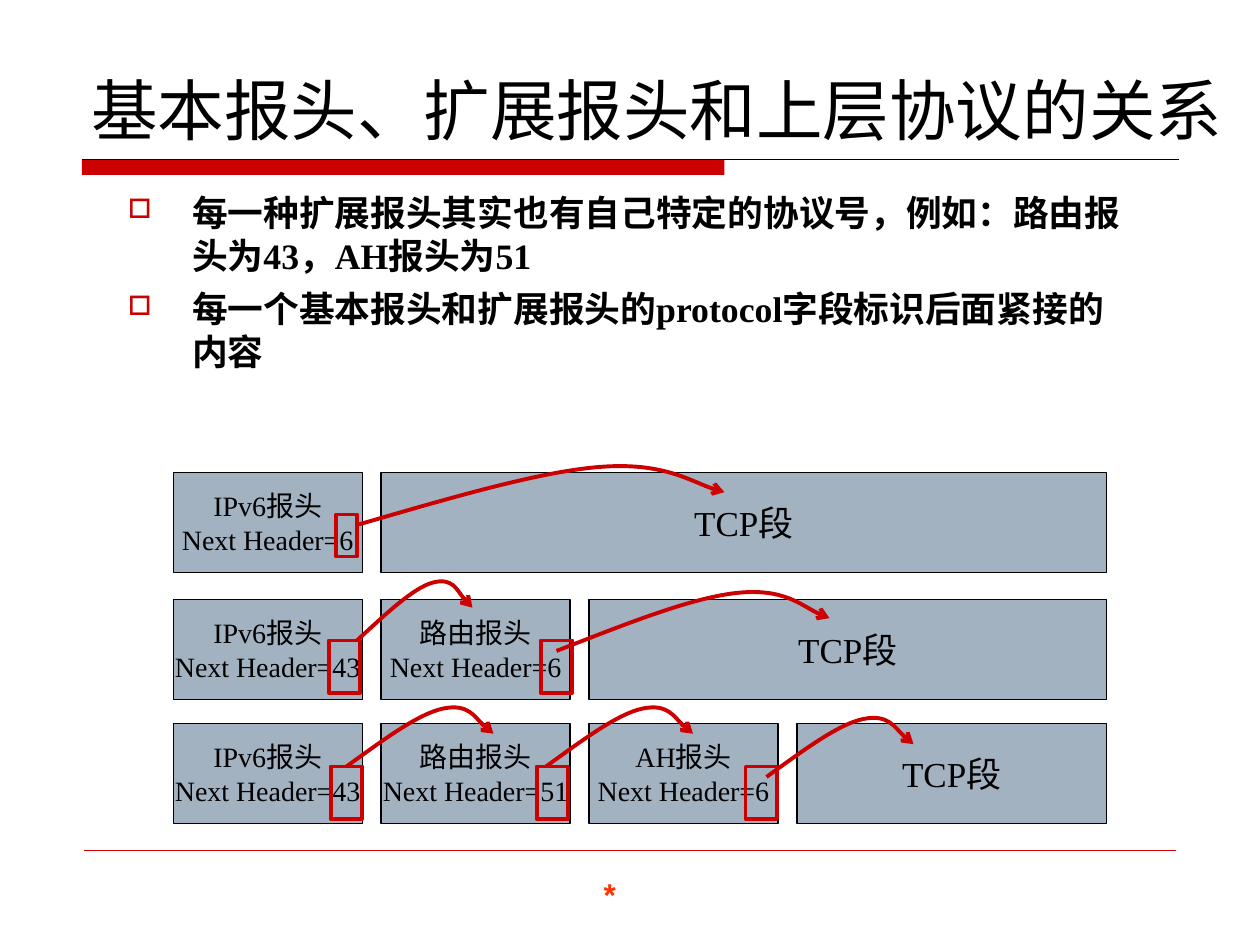
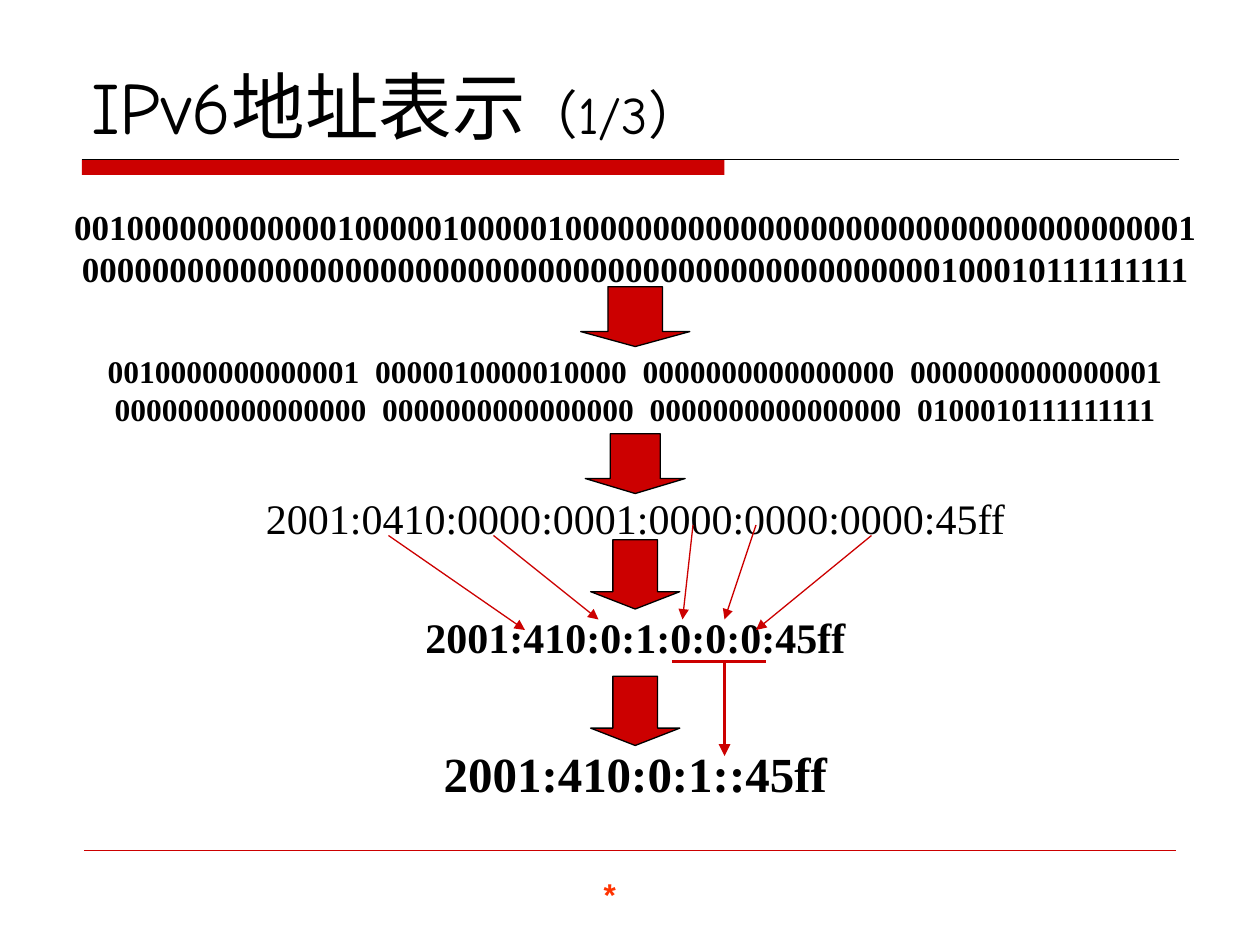
from typing import NamedTuple

import lxml.etree
import pptx
import pptx.dml.color
import pptx.enum.shapes
import pptx.enum.text
import pptx.oxml.ns
import pptx.util

RED = pptx.dml.color.RGBColor(0xCC, 0x00, 0x00)
ORANGE = pptx.dml.color.RGBColor(0xFF, 0x33, 0x00)
BLACK = pptx.dml.color.RGBColor(0x00, 0x00, 0x00)
STEEL = pptx.dml.color.RGBColor(0xA3, 0xB2, 0xC1)
SERIF, TITLE_FONT, FOOTER_FONT = "Times New Roman", "Comic Neue", "Arial"

SHAPES = pptx.enum.shapes.MSO_SHAPE
ALIGN = pptx.enum.text.PP_ALIGN
ANCHOR = pptx.enum.text.MSO_ANCHOR

# The slide is a grid of 120 columns and 90 rows with square cells
SLIDE_WIDTH, SLIDE_HEIGHT = pptx.util.Inches(10), pptx.util.Inches(7.5)
CELL = SLIDE_WIDTH // 120


class Area(NamedTuple):
    column: float
    row: float
    columns: float
    rows: float

    def lengths(self) -> list[int]:
        return [grid(value) for value in self]


class Style(NamedTuple):
    size: float
    font: str = SERIF
    bold: bool = False
    color: pptx.dml.color.RGBColor = BLACK


class Header(NamedTuple):
    name: str
    next_header: int


class Jump(NamedTuple):
    """A framed protocol number and the arc from it to the next part."""
    frame: Area
    column: float
    row: float
    columns: float


class Arrow(NamedTuple):
    from_column: float
    from_row: float
    to_column: float
    to_row: float


class Notation(NamedTuple):
    lines: list[str]
    row: float
    columns: float
    rows: float
    style: Style


def grid(cells: float) -> int:
    return round(cells * CELL)


def add_element(parent, tag: str, **attributes: str):
    return lxml.etree.SubElement(parent, pptx.oxml.ns.qn(tag), **attributes)


def format_paragraph(paragraph, style: Style) -> None:
    for run in paragraph.runs:
        run.font.size = pptx.util.Pt(style.size)
        run.font.name = style.font
        run.font.bold = style.bold
        run.font.color.rgb = style.color


def write(shape, lines: list[str], style: Style, align=ALIGN.CENTER,
          anchor=ANCHOR.MIDDLE, wrap: bool = False) -> None:
    text_frame = shape.text_frame
    text_frame.text = "\n".join(lines)
    text_frame.word_wrap = wrap
    text_frame.vertical_anchor = anchor
    for paragraph in text_frame.paragraphs:
        paragraph.alignment = align
        format_paragraph(paragraph, style)


def add_block(slide, kind, area: Area, fill=None, line=BLACK, width: float = 0.75):
    shape = slide.shapes.add_shape(kind, *area.lengths())
    shape.shadow.inherit = False
    if fill is None:
        shape.fill.background()
    else:
        shape.fill.solid()
        shape.fill.fore_color.rgb = fill
    if line is None:
        shape.line.fill.background()
    else:
        shape.line.color.rgb = line
        shape.line.width = pptx.util.Pt(width)
    return shape


def add_head(shape, kind: str) -> None:
    add_element(shape.line._get_or_add_ln(), "a:tailEnd", type=kind)


def add_line(slide, arrow: Arrow, width: float, color=RED, head: bool = False) -> None:
    connector = slide.shapes.add_connector(
        pptx.enum.shapes.MSO_CONNECTOR.STRAIGHT, *map(grid, arrow))
    connector.line.color.rgb = color
    connector.line.width = pptx.util.Pt(width)
    if head:
        add_head(connector, "triangle")
    add_element(connector._element.spPr, "a:effectLst")


def start_slide(presentation, title_columns: float, title_parts: list[tuple[str, float]]):
    slide = presentation.slides.add_slide(presentation.slide_layouts[6])
    # Band and rule below the title, rule and mark at the foot
    add_block(slide, SHAPES.RECTANGLE, Area(7.8, 15.2, 61.2, 1.45), RED, None)
    add_line(slide, Arrow(7.8, 15.2, 112.3, 15.2), 0.75, BLACK)
    add_line(slide, Arrow(8, 81, 112, 81), 0.25)
    mark = slide.shapes.add_textbox(*Area(56.3, 82.7, 9, 4.8).lengths())
    write(mark, ["*"], Style(18, FOOTER_FONT, True, ORANGE), ALIGN.LEFT, ANCHOR.TOP, True)
    # Title
    title = slide.shapes.add_textbox(*Area(7.5, 4, title_columns, 10.8).lengths())
    title.text_frame.word_wrap = True
    title.text_frame.vertical_anchor = ANCHOR.BOTTOM
    paragraph = title.text_frame.paragraphs[0]
    for text, size in title_parts:
        run = paragraph.add_run()
        run.text = text
        run.font.size = pptx.util.Pt(size)
        run.font.name = TITLE_FONT
        run.font.color.rgb = BLACK
    return slide


# Header chains
BOX_LEFT, BOX_RIGHT, BOX_WIDTH, BOX_PITCH, BOX_HEIGHT = 16.5, 105.4, 18, 19.8, 9.5
ARC_HEIGHT = 6
# Points of two joined Bézier curves, as shares of the arc's width and height
ARC = [(0, 1), (0.25, 0.58), (0.49, 0.16), (0.66, 0.08), (0.83, 0), (0.94, 0.41), (1, 0.48)]

BULLETS = [
    "每一种扩展报头其实也有自己特定的协议号，例如：路由报头为43，AH报头为51",
    "每一个基本报头和扩展报头的protocol字段标识后面紧接的内容",
]
CHAINS = {
    45: [Header("IPv6报头", 6)],
    57.1: [Header("IPv6报头", 43), Header("路由报头", 6)],
    68.9: [Header("IPv6报头", 43), Header("路由报头", 51), Header("AH报头", 6)],
}
JUMPS = [
    Jump(Area(32, 49, 2, 4), 34, 50, 35),
    Jump(Area(31.3, 61, 3, 5), 34, 61, 11),
    Jump(Area(51.5, 61, 3, 5), 53, 62, 26),
    Jump(Area(31.5, 73, 3, 5), 33, 73, 14),
    Jump(Area(51.1, 73, 3, 5), 52, 73, 14),
    Jump(Area(71, 73, 3, 5), 73, 74, 14),
]


def add_bullets(slide) -> None:
    box = slide.shapes.add_textbox(*Area(11, 17.6, 97, 18.6).lengths())
    text_frame = box.text_frame
    text_frame.word_wrap = True
    text_frame.text = "\n".join(BULLETS)
    indent = pptx.util.Inches(0.51)
    for index, paragraph in enumerate(text_frame.paragraphs):
        properties = paragraph._p.get_or_add_pPr()
        properties.set("marL", str(indent))
        properties.set("indent", str(-indent))
        add_element(add_element(properties, "a:buClr"), "a:srgbClr", val=str(RED))
        add_element(properties, "a:buSzPct", val="75000")
        add_element(properties, "a:buChar", char="□")
        paragraph.line_spacing = 1.0
        if index:
            paragraph.space_before = pptx.util.Pt(6)
        format_paragraph(paragraph, Style(20.4, bold=True))


def add_chain(slide, row: float, headers: list[Header]) -> None:
    for index, header in enumerate(headers):
        area = Area(BOX_LEFT + index * BOX_PITCH, row, BOX_WIDTH, BOX_HEIGHT)
        box = add_block(slide, SHAPES.RECTANGLE, area, STEEL)
        write(box, [header.name, f"Next Header={header.next_header}"], Style(16))
    left = BOX_LEFT + len(headers) * BOX_PITCH
    segment = add_block(slide, SHAPES.RECTANGLE,
                        Area(left, row, BOX_RIGHT - left, BOX_HEIGHT), STEEL)
    write(segment, ["TCP段"], Style(20))


def add_jump(slide, jump: Jump) -> None:
    points = [(grid(jump.column + x * jump.columns),
               grid(jump.row + (y - 1) * ARC_HEIGHT)) for x, y in ARC]
    builder = slide.shapes.build_freeform(*points[0])
    builder.add_line_segments(points[1:], close=False)
    arc = builder.convert_to_shape()
    # Turn each three straight segments into one Bézier curve
    path = arc._element.find(".//" + pptx.oxml.ns.qn("a:path"))
    segments = path.findall(pptx.oxml.ns.qn("a:lnTo"))
    for first in range(0, len(segments), 3):
        curve = add_element(path, "a:cubicBezTo")
        for segment in segments[first:first + 3]:
            curve.append(segment[0])
            path.remove(segment)
    arc.shadow.inherit = False
    arc.fill.background()
    arc.line.color.rgb = RED
    arc.line.width = pptx.util.Pt(2.25)
    add_head(arc, "arrow")
    add_block(slide, SHAPES.RECTANGLE, jump.frame, None, RED, 2.25)


def add_header_slide(presentation) -> None:
    slide = start_slide(presentation, 111, [("基本报头、扩展报头和上层协议的关系", 38)])
    add_bullets(slide)
    for row, headers in CHAINS.items():
        add_chain(slide, row, headers)
    for jump in JUMPS:
        add_jump(slide, jump)


# Address notations
CENTER = 60.5
ADDRESS_BITS = [
    "0010000000000001000001000001000000000000000000000000000000000001",
    "0000000000000000000000000000000000000000000000000100010111111111",
]
ADDRESS_GROUPS = ["  ".join(bits[start:start + 16] for start in range(0, 64, 16))
                  for bits in ADDRESS_BITS]
NOTATIONS = [
    Notation(ADDRESS_BITS, 19, 113.4, 9.2, Style(20, bold=True)),
    Notation(ADDRESS_GROUPS, 32.9, 109.6, 8.4, Style(18, bold=True)),
    Notation(["2001:0410:0000:0001:0000:0000:0000:45ff"], 46.3, 78.4, 6, Style(24)),
    Notation(["2001:410:0:1:0:0:0:45ff"], 57.6, 49, 6, Style(24, bold=True)),
    Notation(["2001:410:0:1::45ff"], 70.2, 50, 6.8, Style(28, bold=True)),
]
# Row, width and height of each step arrow
STEPS = [(27.3, 10.4, 5.7), (41.3, 9.5, 5.7), (51.4, 8.5, 6.6), (64.4, 8.5, 6.6)]
SHORTENED_GROUPS = [
    Arrow(37, 51, 50, 60),
    Arrow(47, 51, 57, 59),
    Arrow(66, 50, 65, 59),
    Arrow(72, 50, 69, 59),
    Arrow(83, 51, 72, 60),
]


def add_address_slide(presentation) -> None:
    slide = start_slide(presentation, 105, [("IPv6地址表示", 42), ("（1/3）", 30)])
    for notation in NOTATIONS:
        area = Area(CENTER - notation.columns / 2, notation.row,
                    notation.columns, notation.rows)
        write(slide.shapes.add_textbox(*area.lengths()), notation.lines, notation.style)
    for row, width, height in STEPS:
        step = add_block(slide, SHAPES.DOWN_ARROW,
                         Area(CENTER - width / 2, row, width, height), RED)
        step.adjustments[0], step.adjustments[1] = 0.5, 0.25
    for arrow in SHORTENED_GROUPS:
        add_line(slide, arrow, 0.75, head=True)
    # Zero groups that collapse into a double colon
    add_line(slide, Arrow(64, 63, 73, 63), 2.25)
    add_line(slide, Arrow(69, 63, 69, 72), 2.25, head=True)


def main() -> None:
    presentation = pptx.Presentation()
    presentation.slide_width, presentation.slide_height = SLIDE_WIDTH, SLIDE_HEIGHT
    add_header_slide(presentation)
    add_address_slide(presentation)
    presentation.save("out.pptx")


if __name__ == "__main__":
    main()
